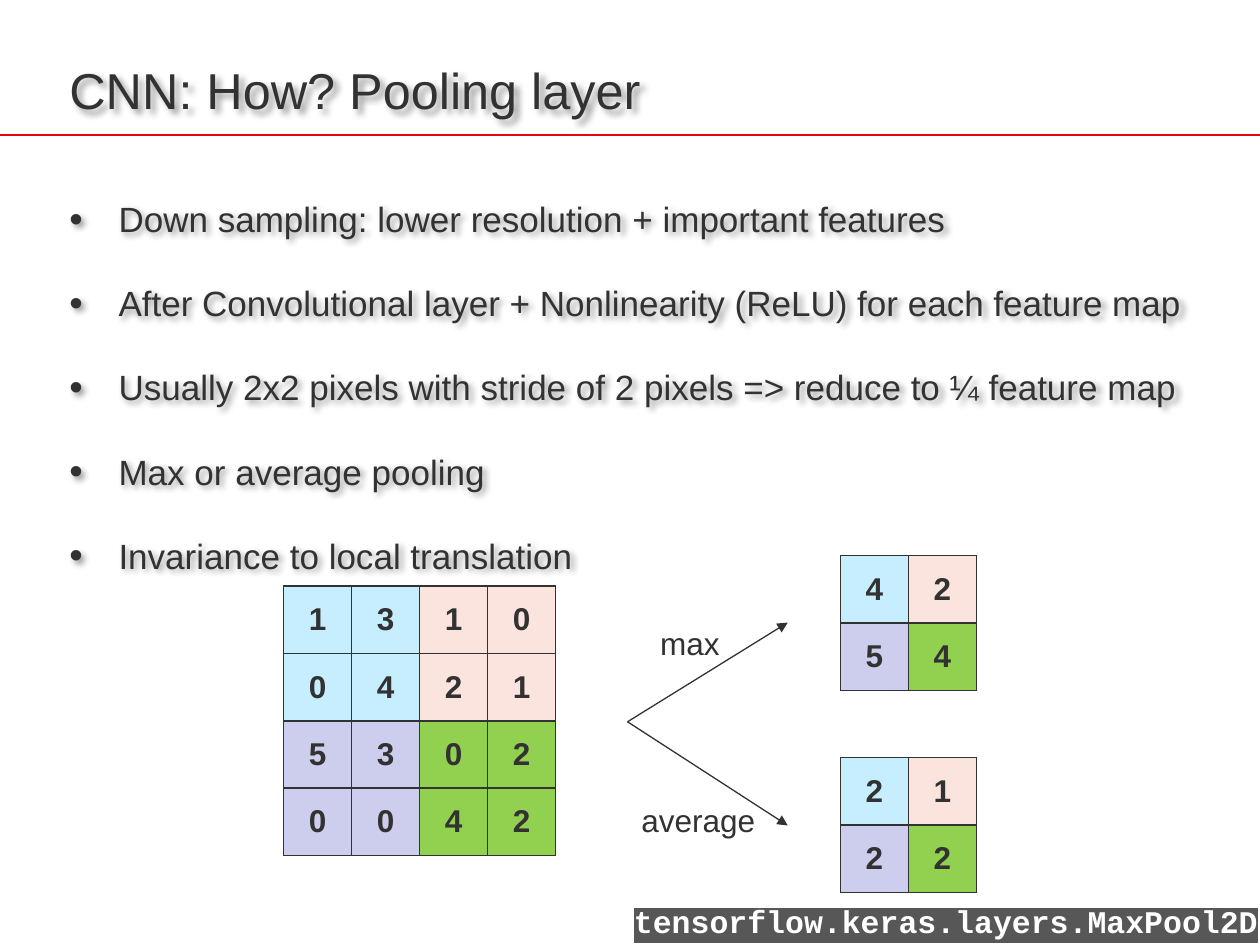
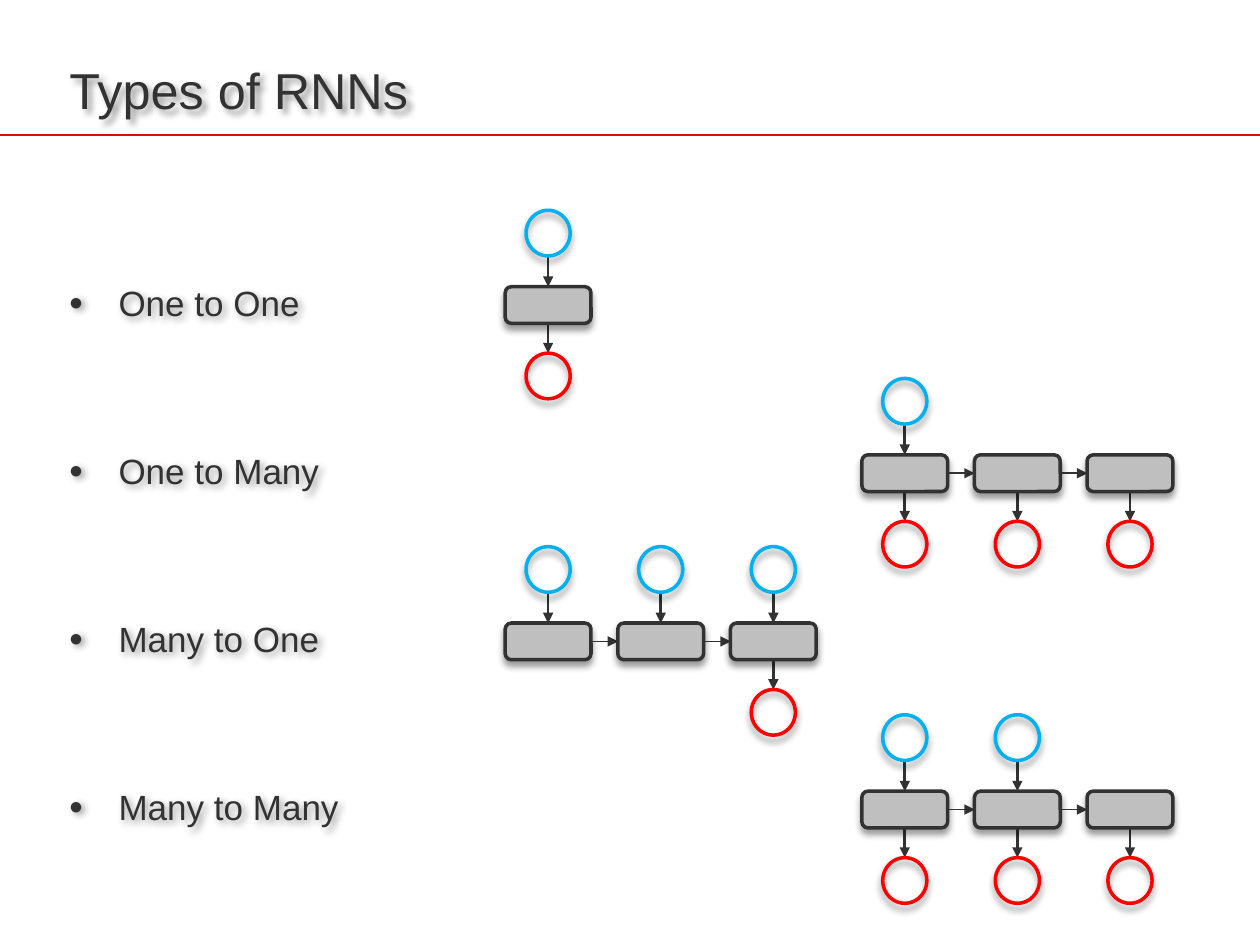
from pptx import Presentation
from pptx import util as u
from pptx.dml import color
from pptx.enum import shapes, text
from pptx.oxml import parse_xml
from pptx.oxml import ns

Cm, Pt = u.Cm, u.Pt
rgb = color.RGBColor.from_string
INK, RED_RULE, GREY = "323232", "E30613", "BFBFBF"
INPUT_BLUE, OUTPUT_RED = "00B0F0", "FF0000"
QUADRANTS = [["C6EEFF", "FCE4DE"], ["CDCDED", "92D050"]]
DRAWING = ns.nsdecls("a")
SHADOW = (
    f'<a:outerShdw {DRAWING} blurRad="50800" dist="38100" dir="%d" algn="t" rotWithShape="0">'
    '<a:srgbClr val="000000"><a:alpha val="40000"/></a:srgbClr></a:outerShdw>'
)
DOWN, DIAGONAL = 5400000, 2700000


def add_text(page, lines, left, top, width, height, size, wrap=True, hue=INK, face="Arial"):
    box = page.shapes.add_textbox(Cm(left), Cm(top), Cm(width), Cm(height))
    frame = box.text_frame
    frame.margin_left = frame.margin_right = frame.margin_top = frame.margin_bottom = 0
    frame.word_wrap = wrap
    frame.text = "\n".join(lines)
    for para in frame.paragraphs:
        for span in para.runs:
            span.font.size = Pt(size)
            span.font.name = face
            span.font.color.rgb = rgb(hue)
    return box


def add_line(holder, x1, y1, x2, y2, width, hue=INK, arrow=True):
    line = holder.add_connector(
        shapes.MSO_CONNECTOR.STRAIGHT, Cm(x1), Cm(y1), Cm(x2), Cm(y2))
    line.line.color.rgb = rgb(hue)
    line.line.width = Pt(width)
    if arrow:
        line.line._get_or_add_ln().append(parse_xml(f'<a:tailEnd {DRAWING} type="triangle"/>'))
    line._element.spPr.append(parse_xml(f"<a:effectLst {DRAWING}/>"))


deck = Presentation()
deck.slide_width, deck.slide_height = Cm(25.4), Cm(19.05)

outline = [
    ("CNN: How? Pooling layer", 3.99, 24, [
        "Down sampling: lower resolution + important features",
        "After Convolutional layer + Nonlinearity (ReLU) for each feature map",
        "Usually 2x2 pixels with stride of 2 pixels => reduce to ¼ feature map",
        "Max or average pooling",
        "Invariance to local translation",
    ]),
    ("Types of RNNs", 5.68, 72, ["One to One", "One to Many", "Many to One", "Many to Many"]),
]
pages = []
for title, body_top, gap, points in outline:
    page = deck.slides.add_slide(deck.slide_layouts[6])
    pages.append(page)
    add_line(page.shapes, 0, 2.72, 25.4, 2.72, 1.5, RED_RULE, arrow=False)
    heading = add_text(page, [title], 1.4, 1.12, 22.5, 1.35, 28.8)
    heading.text_frame.vertical_anchor = text.MSO_ANCHOR.MIDDLE
    body = add_text(page, points, 1.4, body_top, 22.5, 17.58 - body_top, 20)
    for para in body.text_frame.paragraphs:
        para.space_before = Pt(gap)
        para.line_spacing = Pt(24)
        layout = para._p.get_or_add_pPr()
        layout.set("marL", str(Cm(0.99)))
        layout.set("indent", str(-Cm(0.99)))
        layout.append(parse_xml(f'<a:buSzPct {DRAWING} val="110000"/>'))
        layout.append(parse_xml(f'<a:buFont {DRAWING} typeface="Arial"/>'))
        layout.append(parse_xml(f'<a:buChar {DRAWING} char="•"/>'))
    for box in (heading, body):
        box.shadow.inherit = False
        box._element.spPr.find(ns.qn("a:effectLst")).append(parse_xml(SHADOW % DIAGONAL))

pooling, networks = pages

grids = [
    (5.72, 11.81, ["1310", "0421", "5302", "0042"]),
    (16.94, 11.2, ["42", "54"]),
    (16.94, 15.27, ["21", "22"]),
]
for left, top, rows in grids:
    count = len(rows)
    table = pooling.shapes.add_table(
        count, count, Cm(left), Cm(top), Cm(1.37 * count), Cm(1.36 * count)).table
    table.first_row = table.horz_banding = False
    for row, digits in enumerate(rows):
        table.rows[row].height = Cm(1.36)
        table.columns[row].width = Cm(1.37)
        for column, digit in enumerate(digits):
            cell = table.cell(row, column)
            cell.text = digit
            cell.vertical_anchor = text.MSO_ANCHOR.MIDDLE
            cell.fill.solid()
            cell.fill.fore_color.rgb = rgb(QUADRANTS[row * 2 // count][column * 2 // count])
            para = cell.text_frame.paragraphs[0]
            para.alignment = text.PP_ALIGN.CENTER
            font = para.runs[0].font
            font.size, font.name, font.bold = Pt(18), "Arial", True
            font.color.rgb = rgb(INK)
            for index, side in enumerate("LRTB"):
                cell._tc.get_or_add_tcPr().insert(index, parse_xml(
                    f'<a:ln{side} {DRAWING} w="12700"><a:solidFill>'
                    f'<a:srgbClr val="{INK}"/></a:solidFill></a:ln{side}>'))

for tip in (12.55, 16.64):
    add_line(pooling.shapes, 12.65, 14.55, 15.88, tip, 0.75)
add_text(pooling, ["max"], 13.31, 12.57, 1.22, 0.76, 18, wrap=False)
add_text(pooling, ["average"], 12.93, 16.15, 2.31, 0.76, 18, wrap=False)
code = add_text(pooling, ["tensorflow.keras.layers.MaxPool2D"], 12.78, 18.19, 12.65, 0.76, 18,
                wrap=False, hue="FFFFFF", face="Courier New")
font = code.text_frame.paragraphs[0].runs[0].font
font.bold = True
font._element.find(ns.qn("a:solidFill")).addnext(
    parse_xml(f'<a:highlight {DRAWING}><a:srgbClr val="575757"/></a:highlight>'))

OVAL, ROUNDED = shapes.MSO_SHAPE.OVAL, shapes.MSO_SHAPE.ROUNDED_RECTANGLE
diagrams = [
    (11.05, ["in out"]),
    (18.24, ["in out", "out", "out"]),
    (11.05, ["in", "in", "in out"]),
    (18.24, ["in out", "in out", "out"]),
]
for row, (start, steps) in enumerate(diagrams):
    middle = 6.15 + 3.39 * row
    group = networks.shapes.add_group_shape().shapes
    for step, ends in enumerate(steps):
        centre = start + 2.27 * step
        parts = [(ROUNDED, middle, 1.73, 0.74, INK)]
        if "in" in ends:
            parts.append((OVAL, middle - 1.45, 0.89, 0.92, INPUT_BLUE))
            add_line(group, centre, middle - 0.99, centre, middle - 0.37, 1.5)
        if "out" in ends:
            parts.append((OVAL, middle + 1.43, 0.89, 0.92, OUTPUT_RED))
            add_line(group, centre, middle + 0.37, centre, middle + 0.97, 1.5)
        if step:
            add_line(group, centre - 1.41, middle, centre - 0.86, middle, 1)
        for kind, y, width, height, hue in parts:
            node = group.add_shape(
                kind, Cm(centre - width / 2), Cm(y - height / 2), Cm(width), Cm(height))
            node.line.color.rgb = rgb(hue)
            node.line.width = Pt(2)
            if kind == ROUNDED:
                node.fill.solid()
                node.fill.fore_color.rgb = rgb(GREY)
            else:
                node.fill.background()
            node.shadow.inherit = False
            node._element.spPr.find(ns.qn("a:effectLst")).append(parse_xml(SHADOW % DOWN))

deck.save("out.pptx")
